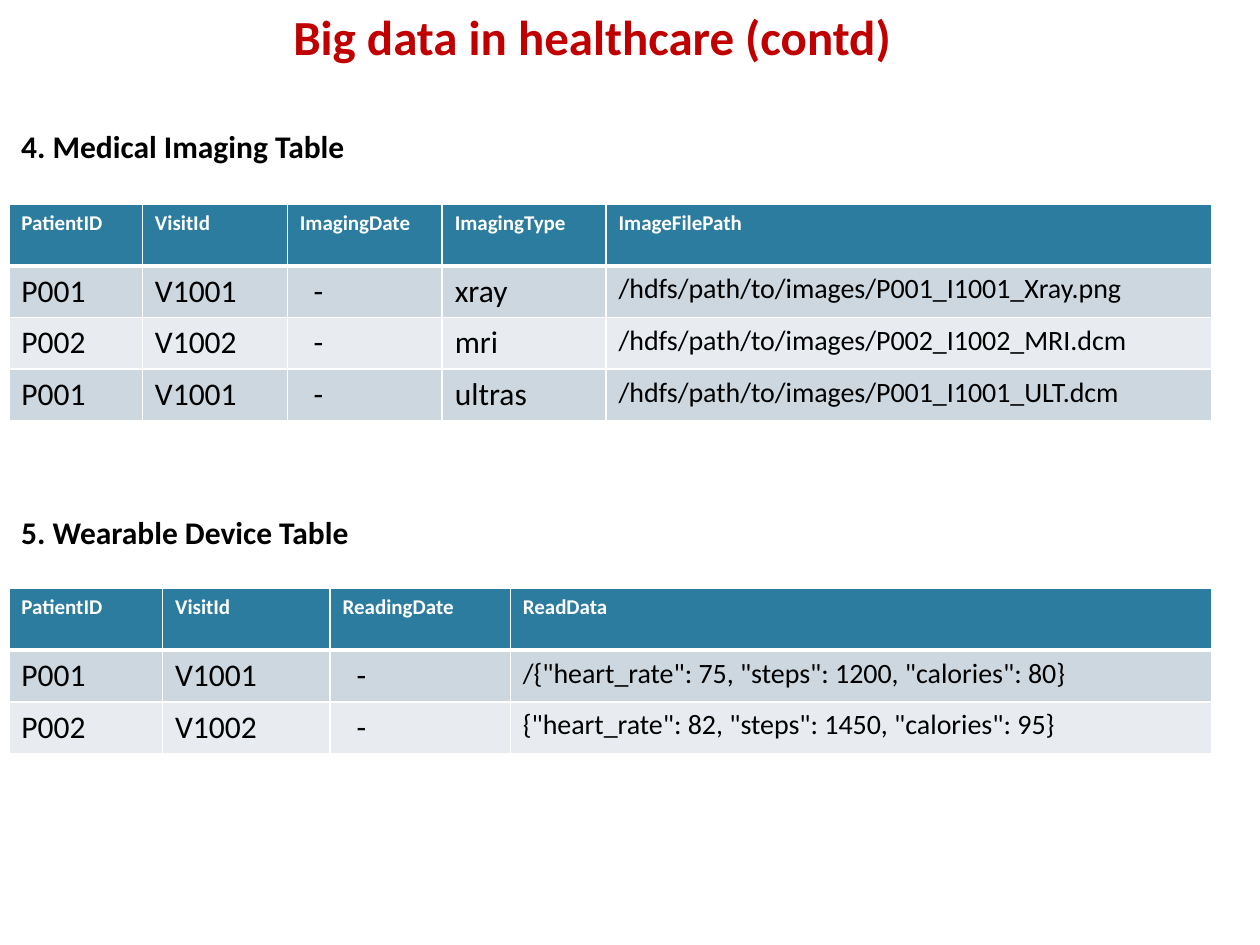
from dataclasses import dataclass

from lxml.etree import SubElement
from pptx import Presentation
from pptx.dml.color import RGBColor
from pptx.enum.text import MSO_AUTO_SIZE
from pptx.oxml.ns import qn
from pptx.util import Inches, Pt

HUES = {
    "title": "C00000",
    "text": "000000",
    "line": "FFFFFF",
    "head": "2C7C9F",
    "odd": "CDD7DF",
    "even": "E8ECF0",
}
FONT = "Calibri"
CELL = 0.1
LEFT = 0.7
HEAD, BODY = 4.9, 4.1
DASH = "-"


@dataclass
class Label:
    text: str
    left: float
    top: float
    width: float
    height: float
    size: int
    hue: str
    wrap: bool = False


@dataclass
class Grid:
    top: float
    cols: list[float]
    rows: list[list[str]]


def span(count: float) -> int:
    return Inches(count * CELL)


def paint(frame, size: int, hue: str, bold: bool) -> None:
    for run in frame.paragraphs[0].runs:
        font = run.font
        font.name, font.size, font.bold = FONT, Pt(size), bold
        font.color.rgb = RGBColor.from_string(HUES[hue])


def edge(cell, low: int) -> None:
    props = cell._tc.get_or_add_tcPr()
    for side, wide in (("L", 1), ("R", 1), ("T", 1), ("B", low)):
        line = SubElement(props, qn(f"a:ln{side}"), w=str(Pt(wide)))
        fill = SubElement(line, qn("a:solidFill"))
        SubElement(fill, qn("a:srgbClr"), val=HUES["line"])


def write(slide, label: Label) -> None:
    box = slide.shapes.add_textbox(
        span(label.left), span(label.top), span(label.width), span(label.height)
    )
    frame = box.text_frame
    frame.text = label.text
    frame.word_wrap = label.wrap
    frame.auto_size = MSO_AUTO_SIZE.SHAPE_TO_FIT_TEXT
    paint(frame, label.size, label.hue, True)


def draw(slide, grid: Grid) -> None:
    count, last = len(grid.rows), len(grid.cols) - 1
    tall = HEAD + BODY * (count - 1)
    table = slide.shapes.add_table(
        count, len(grid.cols), span(LEFT), span(grid.top), span(sum(grid.cols)), span(tall)
    ).table
    table.horz_banding = False
    for col, wide in zip(table.columns, grid.cols):
        col.width = span(wide)
    for y, row in enumerate(grid.rows):
        top = y == 0
        table.rows[y].height = span(HEAD if top else BODY)
        band = "head" if top else "odd" if y % 2 else "even"
        for x, text in enumerate(row):
            cell = table.cell(y, x)
            cell.text_frame.text = text
            size = 12 if top else 16 if x == last else 18
            paint(cell.text_frame, size, "line" if top else "text", top)
            if text == DASH:
                cell.margin_left = span(2.1)
            edge(cell, 3 if y < 1 else 1)
            cell.fill.solid()
            cell.fill.fore_color.rgb = RGBColor.from_string(HUES[band])


LABELS = [
    Label("Big data in healthcare (contd)", 22.3, 0, 58.6, 5.7, 28, "title", True),
    Label("4. Medical Imaging Table", LEFT, 9.6, 32.3, 4, 18, "text"),
    Label("5. Wearable Device Table", LEFT, 40.2, 32.6, 4, 18, "text"),
]
ROOT = "/hdfs/path/to/images/"
GRIDS = [
    Grid(16.2, [10.6, 11.5, 12.3, 13, 48.1], [
        ["PatientID", "VisitId", "ImagingDate", "ImagingType", "ImageFilePath"],
        ["P001", "V1001", DASH, "xray", ROOT + "P001_I1001_Xray.png"],
        ["P002", "V1002", DASH, "mri", ROOT + "P002_I1002_MRI.dcm"],
        ["P001", "V1001", DASH, "ultras", ROOT + "P001_I1001_ULT.dcm"],
    ]),
    Grid(46.7, [12.2, 13.3, 14.3, 55.7], [
        ["PatientID", "VisitId", "ReadingDate", "ReadData"],
        ["P001", "V1001", DASH, '/{"heart_rate": 75, "steps": 1200, "calories": 80}'],
        ["P002", "V1002", DASH, '{"heart_rate": 82, "steps": 1450, "calories": 95}'],
    ]),
]


def main() -> None:
    deck = Presentation()
    deck.slide_width, deck.slide_height = span(100), span(75)
    slide = deck.slides.add_slide(deck.slide_layouts[6])
    for label in LABELS:
        write(slide, label)
    for grid in GRIDS:
        draw(slide, grid)
    deck.save("out.pptx")


if __name__ == "__main__":
    main()
